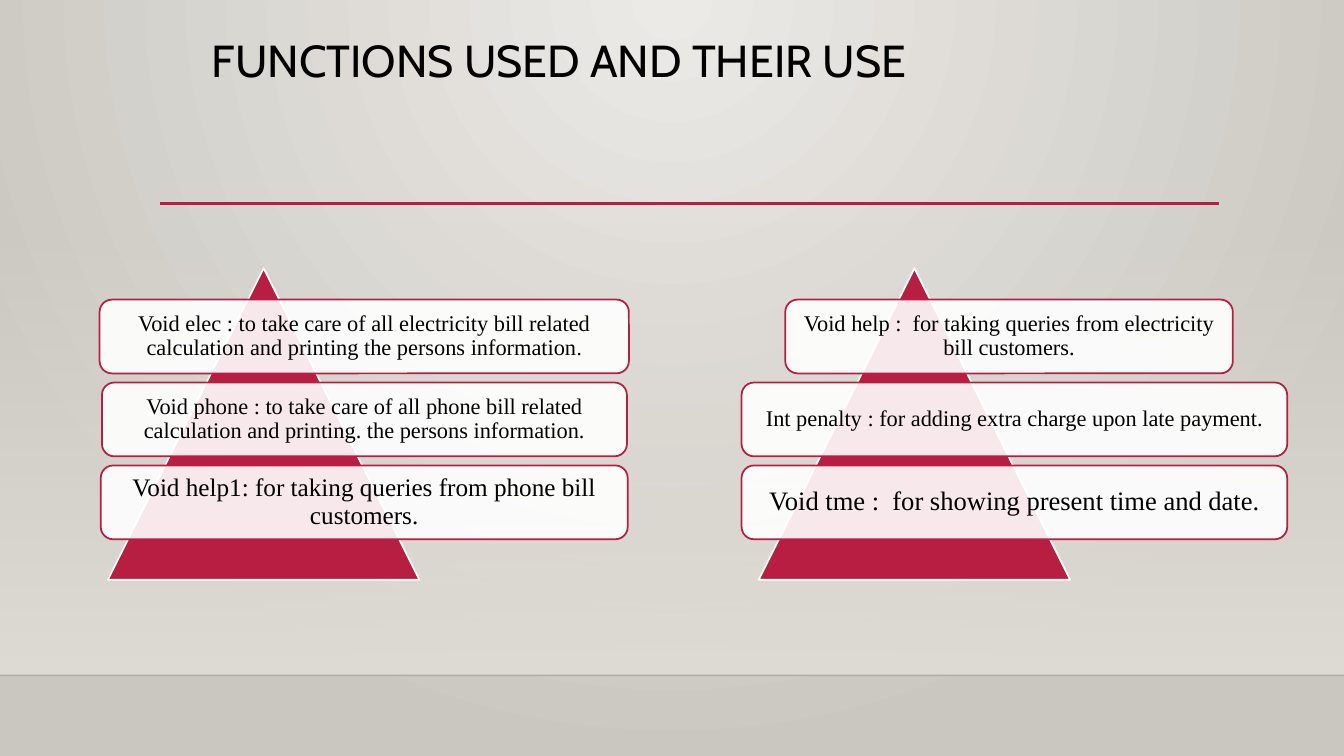
from dataclasses import dataclass

from lxml import etree
from pptx import Presentation
from pptx.dml.color import RGBColor
from pptx.enum.shapes import MSO_CONNECTOR as Connector
from pptx.enum.shapes import MSO_SHAPE as Shape
from pptx.enum.text import MSO_ANCHOR as Anchor
from pptx.enum.text import MSO_AUTO_SIZE as AutoSize
from pptx.enum.text import PP_ALIGN as Align
from pptx.oxml import parse_xml
from pptx.oxml.ns import nsdecls, qn
from pptx.util import Cm, Pt

COLOURS = {
    "accent": "B71E42",
    "white": "FFFFFF",
    "text": "000000",
    "floor_line": "000001",
    "wall": "DFDBD5",
    "glow": "ECEAE7",
    "edge": "CAC7C1",
}
SLIDE_WIDTH, SLIDE_HEIGHT = 33.87, 19.05
FLOOR_TOP = 17.02
TRIANGLE_TOP, TRIANGLE_SIZE = 6.76, 7.85
BOX_TOP, BOX_HEIGHT, BOX_PITCH = 7.55, 1.86, 2.09
TITLE_FONT, BODY_FONT = "Cabin", "Times New Roman"


@dataclass(frozen=True)
class Span:
    text: str
    size: float


@dataclass(frozen=True)
class FunctionBox:
    left: float
    width: float
    spans: tuple[Span, ...]
    inset: float = 0.18


@dataclass(frozen=True)
class Pyramid:
    left: float
    boxes: tuple[FunctionBox, ...]


PYRAMIDS = (
    Pyramid(2.72, (
        FunctionBox(2.51, 13.34, (
            Span("Void elec : to take care of all electricity bill related "
                 "calculation and printing the persons information", 16),
            Span(".", 15),
        )),
        FunctionBox(2.57, 13.23, (
            Span("Void phone : to take care of all phone bill related "
                 "calculation and printing. the persons information.", 16),
        )),
        FunctionBox(2.54, 13.28, (
            Span("Void help1: for taking queries from phone bill customers.", 18),
        )),
    )),
    Pyramid(19.12, (
        FunctionBox(19.79, 11.28, (
            Span("Void help :  for taking queries from electricity bill customers.", 16),
        )),
        FunctionBox(18.69, 13.75, (
            Span("Int penalty : for adding extra charge upon late payment.", 16),
        )),
        FunctionBox(18.69, 13.75, (
            Span("Void tme :  for showing present time and date.", 19),
        ), 0.2),
    )),
)


def rgb(name: str) -> RGBColor:
    return RGBColor.from_string(COLOURS[name])


def set_opacity(colour_element, percent: int) -> None:
    etree.SubElement(colour_element, qn("a:alpha"), val=str(percent * 1000))


def paint_background(slide) -> None:
    """Fill the slide with a glow that spreads from the middle of its top edge."""
    background = parse_xml(
        f'<p:bg {nsdecls("p", "a")}><p:bgPr><a:gradFill rotWithShape="1"><a:gsLst>'
        f'<a:gs pos="0"><a:srgbClr val="{COLOURS["glow"]}"/></a:gs>'
        f'<a:gs pos="100000"><a:srgbClr val="{COLOURS["edge"]}"/></a:gs></a:gsLst>'
        '<a:path path="circle"><a:fillToRect l="43000" t="0" r="43000" b="100000"/></a:path>'
        '</a:gradFill><a:effectLst/></p:bgPr></p:bg>'
    )
    slide.element.cSld.insert(0, background)


def add_wall(slide) -> None:
    """Add the band that fades in down to the floor line."""
    top = 5.61
    wall = slide.shapes.add_shape(
        Shape.RECTANGLE, 0, Cm(top), Cm(SLIDE_WIDTH), Cm(FLOOR_TOP - top))
    wall.shadow.inherit = False
    wall.line.fill.background()
    wall.fill.gradient()
    wall.fill.gradient_angle = 270
    for stop in wall.fill.gradient_stops:
        stop.color.rgb = rgb("wall")
    first_colour = next(wall.element.spPr.iter(qn("a:srgbClr")))
    set_opacity(first_colour, 0)


def add_rule(slide, left: float, right: float, top: float, colour: str,
             width: float, opacity: int = 100) -> None:
    rule = slide.shapes.add_connector(
        Connector.STRAIGHT, Cm(left), Cm(top), Cm(right), Cm(top))
    rule.line.color.rgb = rgb(colour)
    rule.line.width = Pt(width)
    properties = rule.element.spPr
    set_opacity(next(properties.iter(qn("a:srgbClr"))), opacity)
    etree.SubElement(properties, qn("a:effectLst"))


def add_span(para, text: str, size: float, font: str) -> None:
    span = para.add_run()
    span.text = text
    span.font.size = Pt(size)
    span.font.name = font
    span.font.color.rgb = rgb("text")


def write_title(slide, text: str) -> None:
    title = slide.shapes.title
    title.left, title.top = Cm(5.08), Cm(0.86)
    title.width, title.height = Cm(26.67), Cm(2.92)
    frame = title.text_frame
    frame.word_wrap = True
    frame.auto_size = AutoSize.NONE
    frame.vertical_anchor = Anchor.TOP
    para = frame.paragraphs[0]
    para.alignment = Align.LEFT
    para.line_spacing = 0.9
    add_span(para, text, 32, TITLE_FONT)


def add_panel(group, kind: Shape, left: float, top: float, width: float,
              height: float, fill: str, line: str):
    panel = group.shapes.add_shape(kind, Cm(left), Cm(top), Cm(width), Cm(height))
    panel.shadow.inherit = False
    panel.fill.solid()
    panel.fill.fore_color.rgb = rgb(fill)
    panel.line.color.rgb = rgb(line)
    panel.line.width = Pt(1.25)
    return panel


def add_function_box(group, box: FunctionBox, top: float) -> None:
    panel = add_panel(group, Shape.ROUNDED_RECTANGLE, box.left, top, box.width,
                      BOX_HEIGHT, "white", "accent")
    set_opacity(next(panel.element.spPr.iter(qn("a:srgbClr"))), 90)
    frame = panel.text_frame
    frame.word_wrap = True
    frame.vertical_anchor = Anchor.MIDDLE
    frame.margin_left = frame.margin_right = Cm(box.inset)
    frame.margin_top = frame.margin_bottom = Cm(box.inset)
    para = frame.paragraphs[0]
    para.alignment = Align.CENTER
    para.line_spacing = 0.9
    for span in box.spans:
        add_span(para, span.text, span.size, BODY_FONT)


def add_pyramid(slide, pyramid: Pyramid) -> None:
    group = slide.shapes.add_group_shape()
    add_panel(group, Shape.ISOSCELES_TRIANGLE, pyramid.left, TRIANGLE_TOP,
              TRIANGLE_SIZE, TRIANGLE_SIZE, "accent", "white")
    for row, box in enumerate(pyramid.boxes):
        add_function_box(group, box, BOX_TOP + row * BOX_PITCH)


def main() -> None:
    deck = Presentation()
    deck.slide_width, deck.slide_height = Cm(SLIDE_WIDTH), Cm(SLIDE_HEIGHT)
    page = deck.slides.add_slide(deck.slide_layouts[5])
    paint_background(page)
    add_wall(page)
    add_rule(page, 0, SLIDE_WIDTH, FLOOR_TOP, "floor_line", 1, opacity=20)
    add_rule(page, 4.03, 30.73, 5.13, "accent", 2.5)
    write_title(page, "FUNCTIONS USED AND THEIR USE")
    for pyramid in PYRAMIDS:
        add_pyramid(page, pyramid)
    deck.save("out.pptx")


if __name__ == "__main__":
    main()
